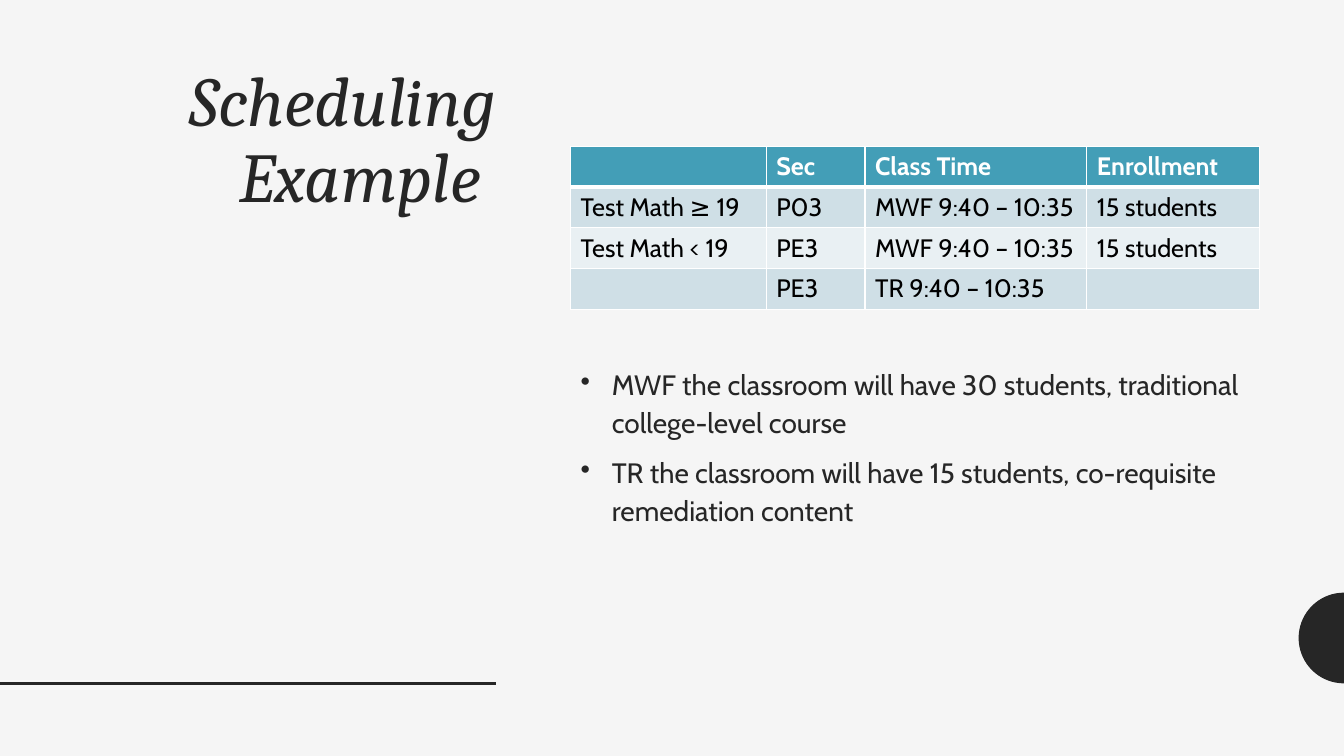
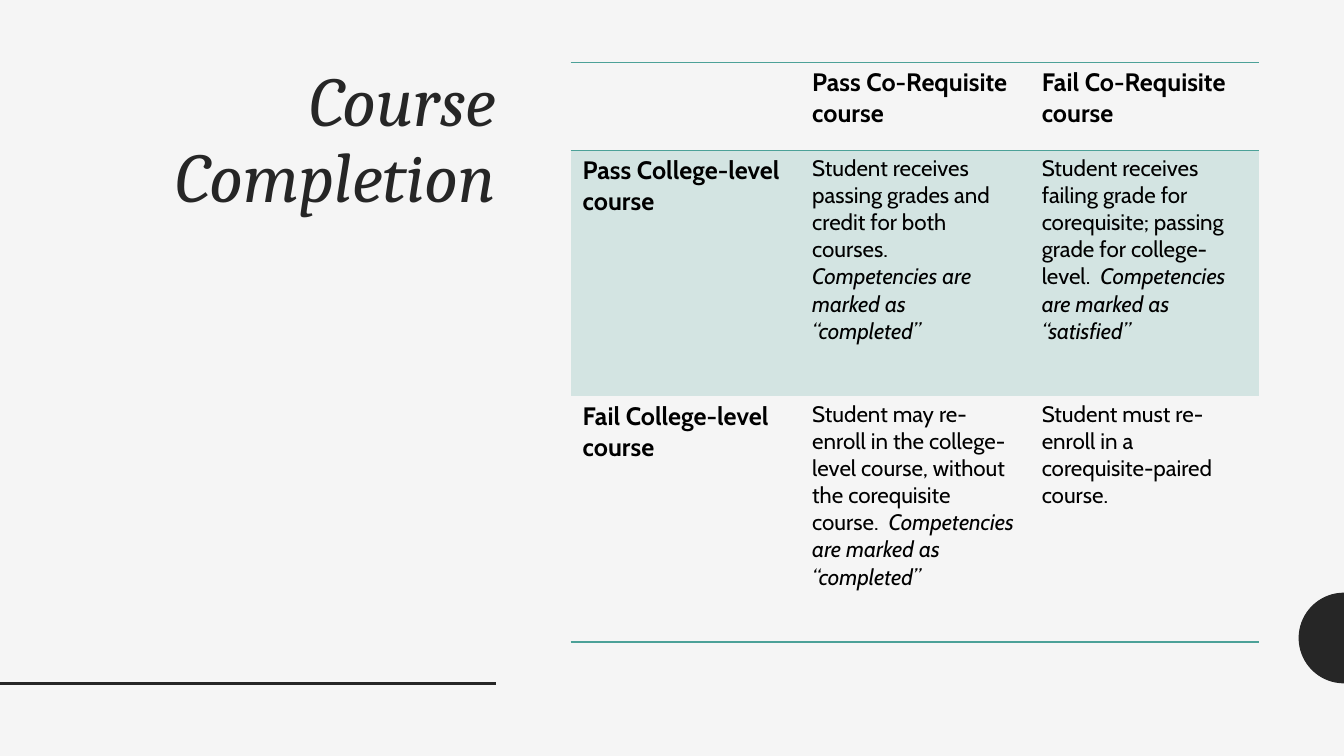
import math
import pptx
import pptx.util
import pptx.dml.color
import pptx.enum.shapes
import pptx.enum.text
import pptx.oxml
import lxml.etree

Inch, Pt = pptx.util.Inches, pptx.util.Pt
Align = pptx.enum.text.PP_ALIGN
hexes = {"paper": "F5F5F5", "ink": "262626", "black": "000000", "white": "FFFFFF",
         "blue": "439EB7", "dark": "CFDFE6", "light": "E9F0F3",
         "teal": "4CA198", "mint": "D3E4E2"}
tone = {name: pptx.dml.color.RGBColor.from_string(code) for name, code in hexes.items()}

# Page grid
wide, high = 13.33, 7.5
left, top = 0.83, 0.61         # title corner
split = 4.92                   # right edge of title text and rule
main, span = 5.66, 6.83        # content column
base, disc = 6.78, 0.45        # rule height, half-disc radius


def put(frame, text, size=18, font="Cabin", color="black", bold=False, italic=False,
        align=Align.LEFT, lines=None, before=None, bullet=False):
    """Fill a frame: a list of paragraphs, each a list of plain and italic runs in turn."""
    frame.word_wrap = True
    for row, runs in enumerate(text):
        para = frame.paragraphs[0] if row == 0 else frame.add_paragraph()
        para.alignment = align
        if lines:
            para.line_spacing = lines
        if before is not None:
            para.space_before = Pt(before)
        if bullet:
            props = para._p.get_or_add_pPr()
            props.set("marL", str(Inch(0.31)))
            props.set("indent", str(-Inch(0.31)))
            mark = lxml.etree.SubElement(props, pptx.oxml.ns.qn("a:buChar"))
            mark.set("char", "•")
        for turn, words in enumerate(runs):
            run = para.add_run()
            run.text = words
            run.font.name, run.font.size = font, Pt(size)
            run.font.bold, run.font.italic = bold, italic or turn == 1
            run.font.color.rgb = tone[color]


def edge(cell, **sides):
    """Set all four borders; each side is (colour, points), or absent for none."""
    props = cell._tc.get_or_add_tcPr()
    for spot, side in enumerate("LRTB"):
        line = pptx.oxml.parse_xml(f'<a:ln{side} {pptx.oxml.ns.nsdecls("a")}/>')
        if side in sides:
            color, width = sides[side]
            line.set("w", str(Pt(width)))
            fill = lxml.etree.SubElement(line, pptx.oxml.ns.qn("a:solidFill"))
            lxml.etree.SubElement(fill, pptx.oxml.ns.qn("a:srgbClr")).set("val", hexes[color])
        else:
            lxml.etree.SubElement(line, pptx.oxml.ns.qn("a:noFill"))
        props.insert(spot, line)


deck = pptx.Presentation()
deck.slide_width, deck.slide_height = Inch(wide), Inch(high)
back = deck.slide_master.background.fill
back.solid()
back.fore_color.rgb = tone["paper"]

# Shared parts: half-disc, rule, title
pages = []
for title in ("Scheduling Example ", "Course Completion"):
    page = deck.slides.add_slide(deck.slide_layouts[6])
    pages.append(page)

    arc = [(Inch(wide - disc * math.sin(math.pi * step / 36)),
            Inch(base - disc + disc * math.cos(math.pi * step / 36))) for step in range(37)]
    pen = page.shapes.build_freeform(*arc[0])
    pen.add_line_segments(arc[1:], close=True)
    half = pen.convert_to_shape()
    half.shadow.inherit = False
    half.fill.solid()
    half.fill.fore_color.rgb = tone["ink"]
    half.line.fill.background()

    rule = page.shapes.add_connector(pptx.enum.shapes.MSO_CONNECTOR.STRAIGHT,
                                     0, Inch(base), Inch(split), Inch(base))
    rule.line.color.rgb, rule.line.width = tone["ink"], Pt(2)
    lxml.etree.SubElement(rule._element.spPr, pptx.oxml.ns.qn("a:effectLst"))

    box = page.shapes.add_textbox(Inch(left), Inch(top), Inch(split + 0.1 - left), Inch(5.42))
    put(box.text_frame, [[title]], size=50, font="Cambria", color="ink",
        italic=True, align=Align.RIGHT, lines=0.9)

# Both tables: place, columns, rows, cells
times = [["", "Sec", "Class Time", "Enrollment"],
         ["Test Math ≥ 19", "P03", "MWF 9:40 – 10:35", "15 students"],
         ["Test Math < 19", "PE3", "MWF 9:40 – 10:35", "15 students"],
         ["", "PE3", "TR 9:40 – 10:35", ""]]
marks = [["", "Pass Co-Requisite course", "Fail Co-Requisite course"],
         ["Pass College-level course",
          ["Student receives passing grades and credit for both courses.  ",
           "Competencies are marked as “completed”"],
          ["Student receives failing grade for corequisite; passing grade for college-level.  ",
           "Competencies are marked as “satisfied”"]],
         ["Fail College-level course",
          ["Student may re-enroll in the college-level course, without the corequisite course.  ",
           "Competencies are marked as “completed”"],
          "Student must re-enroll in a corequisite-paired course."]]
plans = [(1.45, [1.94, 0.98, 2.2, 1.71], [1.62 / 4] * 4, times),
         (0.62, [span / 3] * 3, [0.87, 2.44, 2.44], marks)]

for page, (y, cols, rows, cells) in zip(pages, plans):
    grid = page.shapes.add_table(len(rows), len(cols), Inch(main), Inch(y),
                                 Inch(span), Inch(sum(rows))).table
    grid.first_row = grid.horz_banding = False
    for col, size in zip(grid.columns, cols):
        col.width = Inch(size)
    for row, size in zip(grid.rows, rows):
        row.height = Inch(size)
    for r, texts in enumerate(cells):
        for c, text in enumerate(texts):
            cell = grid.cell(r, c)
            runs = [text] if isinstance(text, str) else text
            if cells is times:
                fill = "blue" if r == 0 else ("light", "dark")[r % 2]
                thin, thick = ("white", 1), ("white", 3)
                edge(cell, L=thin, R=thin, T=thick if r == 1 else thin,
                     B=thick if r == 0 else thin)
                look = {"color": "white" if r == 0 else "black", "bold": r == 0}
            else:
                fill = "mint" if r == 1 else None
                thin = ("teal", 1)
                edge(cell, **({"T": thin, "B": thin}, {"T": thin}, {"B": thin})[r])
                head = r == 0 or c == 0
                look = {"size": 18 if head else 16, "bold": head}
                cell.margin_left = cell.margin_right = Inch(0.12)
            if fill:
                cell.fill.solid()
                cell.fill.fore_color.rgb = tone[fill]
            else:
                cell.fill.background()
            if text:
                put(cell.text_frame, [runs], **look)

# Notes under the schedule
box = pages[0].shapes.add_textbox(Inch(main), Inch(3.56), Inch(span), Inch(2.72))
put(box.text_frame,
    [["MWF the classroom will have 30 students, traditional college-level course"],
     ["TR the classroom will have 15 students, co-requisite remediation content"]],
    size=20, color="ink", lines=1.12, before=9, bullet=True)

deck.save("out.pptx")
